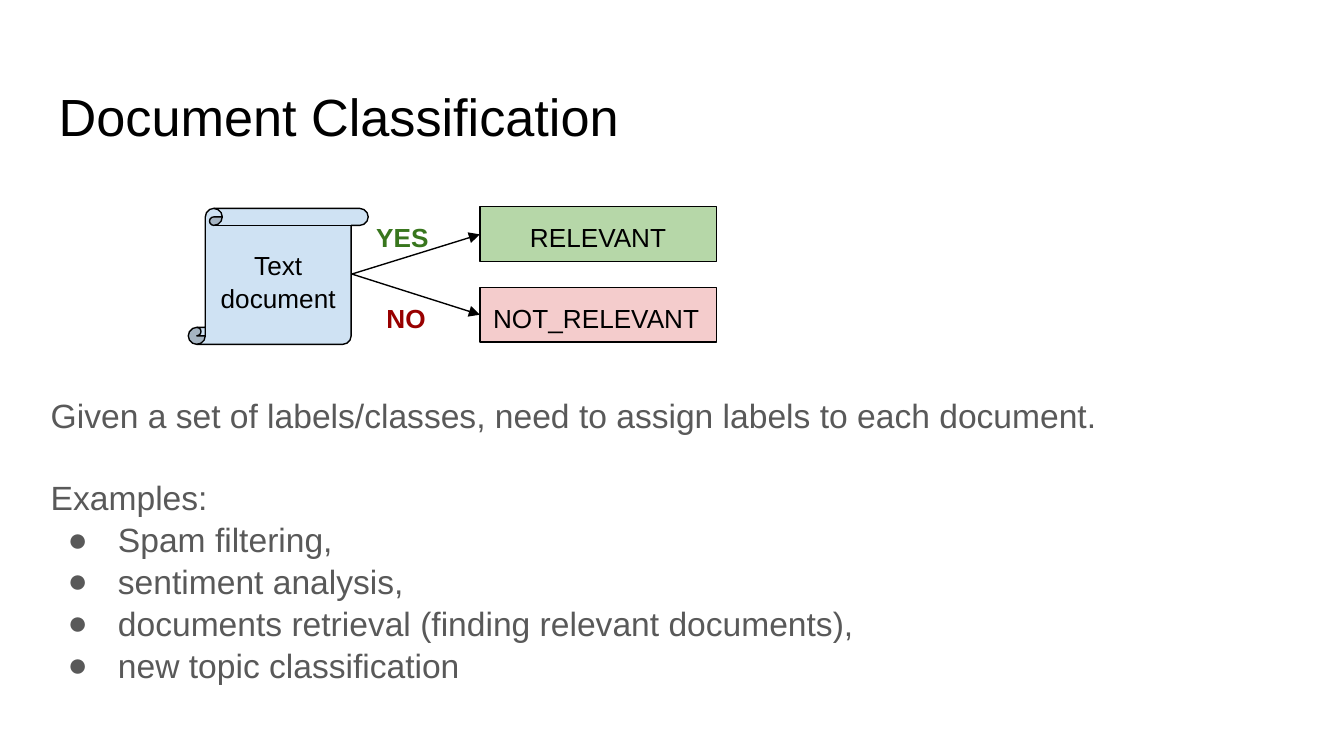
from pptx import Presentation
from pptx.dml.color import RGBColor
from pptx.enum.shapes import MSO_CONNECTOR, MSO_SHAPE
from pptx.enum.text import MSO_ANCHOR, PP_ALIGN
from pptx.oxml.ns import qn
from pptx.util import Cm, Pt
from lxml.etree import SubElement

BLACK = RGBColor(0x00, 0x00, 0x00)
GRAY = RGBColor(0x59, 0x59, 0x59)
PAPER_BLUE = RGBColor(0xCF, 0xE2, 0xF3)
LIGHT_GREEN = RGBColor(0xB6, 0xD7, 0xA8)
LIGHT_RED = RGBColor(0xF4, 0xCC, 0xCC)
GREEN = RGBColor(0x38, 0x76, 0x1D)
RED = RGBColor(0x98, 0x00, 0x00)

EXAMPLES = [
    "Spam filtering,",
    "sentiment analysis,",
    "documents retrieval (finding relevant documents),",
    "new topic classification",
]


def setup_frame(shape, anchor=MSO_ANCHOR.TOP):
    tf = shape.text_frame
    tf.word_wrap = True
    tf.vertical_anchor = anchor
    tf.margin_left = tf.margin_right = tf.margin_top = tf.margin_bottom = Cm(0.25)
    return tf


def add_run(p, text, size, color=BLACK, bold=False):
    r = p.add_run()
    r.text = text
    r.font.name = "Arial"
    r.font.size = Pt(size)
    r.font.bold = bold
    r.font.color.rgb = color


def add_text(s, box, text, size, color=BLACK, bold=False, align=PP_ALIGN.LEFT, spacing=1.0):
    tf = setup_frame(s.shapes.add_textbox(*map(Cm, box)))
    p = tf.paragraphs[0]
    p.alignment = align
    p.line_spacing = spacing
    add_run(p, text, size, color, bold)
    return tf


def add_node(s, kind, box, text, fill, align=PP_ALIGN.CENTER, anchor=MSO_ANCHOR.TOP):
    sp = s.shapes.add_shape(kind, *map(Cm, box))
    sp.shadow.inherit = False
    sp.fill.solid()
    sp.fill.fore_color.rgb = fill
    sp.line.color.rgb = BLACK
    sp.line.width = Pt(0.75)
    p = setup_frame(sp, anchor).paragraphs[0]
    p.alignment = align
    p.line_spacing = 1.05
    add_run(p, text, 14)


def add_arrow(s, x1, y1, x2, y2):
    line = s.shapes.add_connector(MSO_CONNECTOR.STRAIGHT, Cm(x1), Cm(y1), Cm(x2), Cm(y2))
    line.line.color.rgb = BLACK
    line.line.width = Pt(0.75)
    SubElement(line.line._get_or_add_ln(), qn("a:tailEnd"), type="triangle")
    SubElement(line._element.spPr, qn("a:effectLst"))


def add_bullet(p):
    pPr = p._p.get_or_add_pPr()
    pPr.set("marL", str(Cm(1.27)))
    pPr.set("indent", str(-Cm(0.95)))
    color = SubElement(pPr, qn("a:buClr"))
    SubElement(color, qn("a:srgbClr"), val=str(GRAY))
    SubElement(pPr, qn("a:buFont"), typeface="Arial")
    SubElement(pPr, qn("a:buChar"), char="●")


def add_body(s):
    tf = add_text(s, (0.71, 7.19, 23.32, 5.61),
                  "Given a set of labels/classes, need to assign labels to each document.",
                  18, GRAY, spacing=1.04)
    for i, text in enumerate(["Examples:"] + EXAMPLES):
        p = tf.add_paragraph()
        p.line_spacing = 1.04
        if i == 0:
            p.space_before = Pt(21.6)
        else:
            add_bullet(p)
        add_run(p, text, 18, GRAY)


def main():
    prs = Presentation()
    prs.slide_width, prs.slide_height = Cm(25.4), Cm(14.29)
    s = prs.slides.add_slide(prs.slide_layouts[6])

    # Title
    add_text(s, (0.86, 1.24, 23.67, 1.6), "Document Classification", 28, spacing=1.08)

    # Document and its two possible classes
    add_node(s, MSO_SHAPE.VERTICAL_SCROLL, (3.56, 3.94, 3.4, 2.57), "Text document",
             PAPER_BLUE, anchor=MSO_ANCHOR.MIDDLE)
    classes = [
        ("RELEVANT", LIGHT_GREEN, PP_ALIGN.CENTER, "YES", GREEN, PP_ALIGN.LEFT),
        ("NOT_RELEVANT", LIGHT_RED, PP_ALIGN.LEFT, "NO", RED, PP_ALIGN.CENTER),
    ]
    for i, (name, fill, align, answer, color, answer_align) in enumerate(classes):
        top = 3.91 + 1.52 * i
        add_node(s, MSO_SHAPE.RECTANGLE, (9.07, top, 4.47, 1.04), name, fill, align)
        add_arrow(s, 6.65, 5.18, 9.07, top + 0.52)
        add_text(s, (6.86, top, 1.63, 1.04), answer, 14, color, True, answer_align, 1.05)

    # Explanation and examples
    add_body(s)

    prs.save("out.pptx")


if __name__ == "__main__":
    main()
